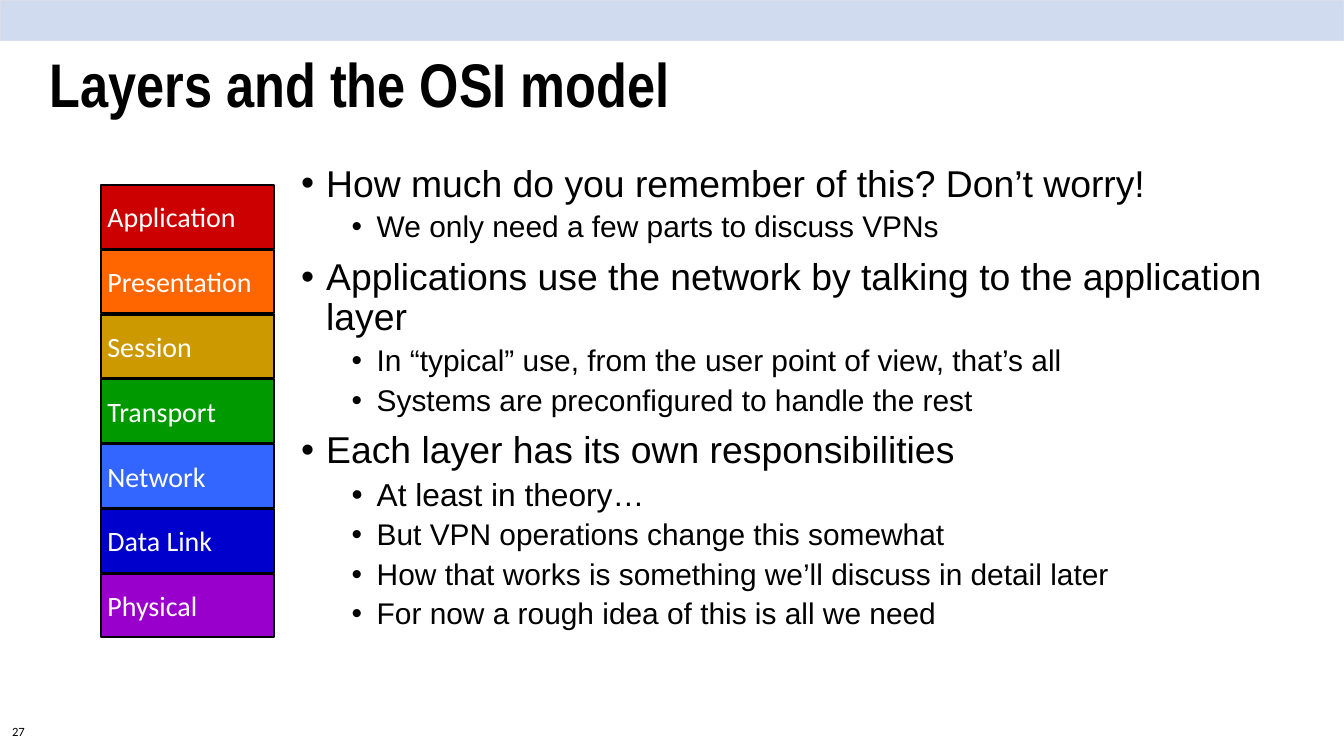
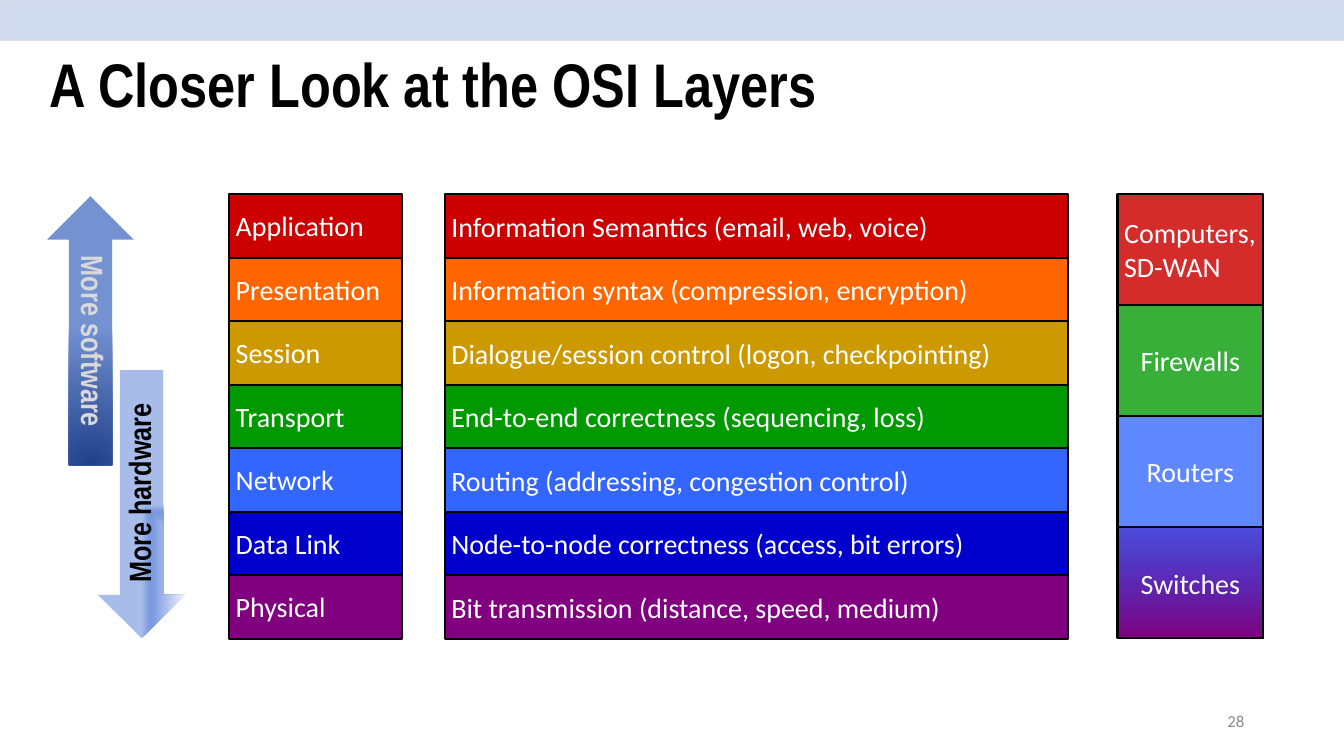
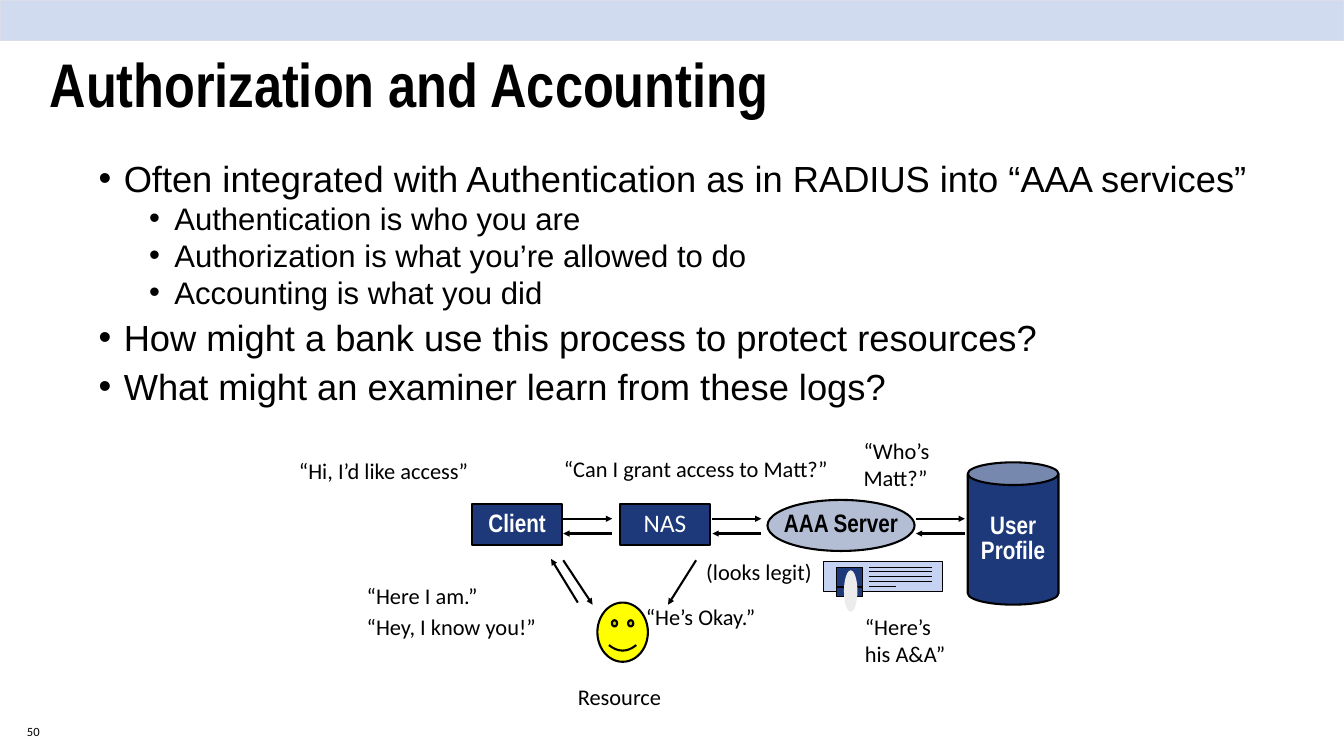
from dataclasses import dataclass, replace
from typing import Any, NamedTuple, Optional

from lxml import etree
from pptx import Presentation
from pptx import util as u
from pptx.dml.color import RGBColor
from pptx.enum import shapes as kinds, text
from pptx.oxml.ns import qn

# Colours
BLACK = RGBColor(0x00, 0x00, 0x00)
WHITE = RGBColor(0xFF, 0xFF, 0xFF)
BAND = RGBColor(0xD1, 0xDB, 0xF0)
BAND_EDGE = RGBColor(0xD9, 0xDE, 0xEA)
GREY = RGBColor(0x8C, 0x8C, 0x8C)
PALE_GREY = RGBColor(0xD9, 0xD9, 0xD9)
RED = RGBColor(0xCC, 0x00, 0x00)
ORANGE = RGBColor(0xFF, 0x66, 0x00)
GOLD = RGBColor(0xCC, 0x99, 0x00)
GREEN = RGBColor(0x00, 0x99, 0x00)
SKY = RGBColor(0x33, 0x66, 0xFF)
BLUE = RGBColor(0x00, 0x00, 0xCC)
VIOLET = RGBColor(0x99, 0x00, 0xCC)
PURPLE = RGBColor(0x80, 0x00, 0x80)
NAVY = RGBColor(0x1D, 0x39, 0x7A)
STEEL = RGBColor(0xB3, 0xBE, 0xD4)
YELLOW = RGBColor(0xFF, 0xFF, 0x00)
CARD = RGBColor(0xC5, 0xD2, 0xF1)
FIGURE = RGBColor(0xEC, 0xEC, 0xEC)
ARROW_DARK = RGBColor(0x20, 0x40, 0x89)
ARROW_MID = RGBColor(0x74, 0x92, 0xD2)
ARROW_WHITE = RGBColor(0xF0, 0xF4, 0xFC)
ARROW_BLUE = RGBColor(0x7C, 0x9A, 0xE0)
ARROW_LIGHT = RGBColor(0xA8, 0xBC, 0xEA)

LEFT, CENTER, RIGHT = text.PP_ALIGN.LEFT, text.PP_ALIGN.CENTER, text.PP_ALIGN.RIGHT
TOP, MIDDLE = text.MSO_ANCHOR.TOP, text.MSO_ANCHOR.MIDDLE
SHAPE = kinds.MSO_SHAPE


class Box(NamedTuple):
    """Left, top, width and height in centimetres."""
    left: float
    top: float
    width: float
    height: float


@dataclass(frozen=True)
class TextStyle:
    size: float
    font: str = "Calibri"
    color: RGBColor = BLACK
    bold: bool = False
    align: Any = LEFT
    anchor: Any = TOP
    spacing: float = 1.0
    inset: tuple[float, float] = (0.25, 0.13)
    wrap: bool = True
    vertical: bool = False


class Stop(NamedTuple):
    position: int
    color: RGBColor
    alpha: int = 100


class Gradient(NamedTuple):
    stops: tuple[Stop, ...]
    geometry: str = ""
    focus: tuple[int, int, int, int] = (0, 0, 0, 0)
    angle: int = 0


class Bullet(NamedTuple):
    words: str
    level: int = 0
    size: Optional[float] = None


class Layer(NamedTuple):
    name: str
    detail: str
    color: RGBColor


class Device(NamedTuple):
    name: str
    fill: Any
    alpha: int = 100
    align: Any = CENTER


class Label(NamedTuple):
    words: str
    box: Box


# Text styles
TITLE = TextStyle(66, "Arial Narrow", bold=True, anchor=MIDDLE, spacing=0.9)
CELL = TextStyle(30, color=WHITE, anchor=MIDDLE)
LABEL = TextStyle(24)
NUMBER = TextStyle(13.5, spacing=0.8, inset=(0.38, 0.18))
CORNER_NUMBER = TextStyle(18, color=GREY, align=RIGHT, anchor=MIDDLE)
NODE = TextStyle(27, "Arial Narrow", WHITE, True, CENTER, MIDDLE, 0.85, (0.38, 0.18), False)
ARROW = replace(NODE, size=33, vertical=True)

# Content
LAYERS = (
    Layer("Application", "Information Semantics (email, web, voice)", RED),
    Layer("Presentation", "Information syntax (compression, encryption)", ORANGE),
    Layer("Session", "Dialogue/session control (logon, checkpointing)", GOLD),
    Layer("Transport", "End-to-end correctness (sequencing, loss)", GREEN),
    Layer("Network", "Routing (addressing, congestion control)", SKY),
    Layer("Data Link", "Node-to-node correctness (access, bit errors)", BLUE),
    Layer("Physical", "Bit transmission (distance, speed, medium)", PURPLE),
)
DEVICES = (
    Device("Computers,\nSD-WAN", RED, 83, LEFT),
    Device("Firewalls", GREEN, 78),
    Device("Routers", SKY, 78),
    Device("Switches", Gradient((Stop(0, BLUE, 70), Stop(100, PURPLE)), angle=90)),
)
OSI_BULLETS = (
    Bullet("How much do you remember of this? Don’t worry!"),
    Bullet("We only need a few parts to discuss VPNs", 1),
    Bullet("Applications use the network by talking to the application layer"),
    Bullet("In “typical” use, from the user point of view, that’s all", 1),
    Bullet("Systems are preconfigured to handle the rest", 1),
    Bullet("Each layer has its own responsibilities"),
    Bullet("At least in theory…", 1, 34),
    Bullet("But VPN operations change this somewhat", 1),
    Bullet("How that works is something we’ll discuss in detail later", 1),
    Bullet("For now a rough idea of this is all we need", 1),
)
AAA_BULLETS = (
    Bullet("Often integrated with Authentication as in RADIUS into “AAA services”"),
    Bullet("Authentication is who you are", 1),
    Bullet("Authorization is what you’re allowed to do", 1),
    Bullet("Accounting is what you did", 1),
    Bullet("How might a bank use this process to protect resources?"),
    Bullet("What might an examiner learn from these logs?"),
)
AAA_LABELS = (
    Label("“Hi, I’d like access”", Box(11.05, 17.15, 12.37, 1.27)),
    Label("“Can I grant access to Matt?”", Box(21.06, 17.09, 12.37, 1.27)),
    Label("“Who’s\nMatt?”", Box(32.39, 16.41, 3.81, 2.31)),
    Label("“He’s Okay.”", Box(24.16, 22.68, 10.64, 1.27)),
    Label("“Here I am.”", Box(13.61, 21.87, 10.64, 1.27)),
    Label("“Hey, I know you!”", Box(13.61, 23.06, 10.64, 1.27)),
    Label("(looks legit)", Box(26.44, 20.98, 6.63, 1.27)),
    Label("“Here’s his A&A”", Box(32.44, 23.06, 3.81, 2.31)),
    Label("Resource", Box(21.59, 25.68, 4.85, 1.27)),
)


# Drawing helpers
def lengths(box: Box) -> list[u.Cm]:
    return [u.Cm(value) for value in box]


def set_frame(shape: Any, style: TextStyle) -> Any:
    frame = shape.text_frame
    frame.word_wrap = style.wrap
    frame.vertical_anchor = style.anchor
    frame.margin_left = frame.margin_right = u.Cm(style.inset[0])
    frame.margin_top = frame.margin_bottom = u.Cm(style.inset[1])
    if style.vertical:
        frame._txBody.bodyPr.set("vert", "vert")
    return frame


def format_paragraph(paragraph: Any, style: TextStyle) -> None:
    paragraph.alignment = style.align
    paragraph.line_spacing = style.spacing
    for run in paragraph.runs:
        run.font.size = u.Pt(style.size)
        run.font.name = style.font
        run.font.bold = style.bold
        run.font.color.rgb = style.color


def write(shape: Any, words: str, style: TextStyle) -> None:
    paragraph = set_frame(shape, style).paragraphs[0]
    paragraph.text = words
    format_paragraph(paragraph, style)


def add_text(shapes: Any, box: Box, words: str, style: TextStyle) -> None:
    write(shapes.add_textbox(*lengths(box)), words, style)


def set_alpha(color_element: Any, percent: int) -> None:
    if percent < 100:
        etree.SubElement(color_element, qn("a:alpha"), val=str(percent * 1000))


def set_gradient(shape: Any, gradient: Gradient) -> None:
    shape.fill.gradient()
    fill = shape._element.spPr.find(qn("a:gradFill"))
    fill.clear()
    fill.set("rotWithShape", "1")
    stop_list = etree.SubElement(fill, qn("a:gsLst"))
    for stop in gradient.stops:
        entry = etree.SubElement(stop_list, qn("a:gs"), pos=str(stop.position * 1000))
        set_alpha(etree.SubElement(entry, qn("a:srgbClr"), val=str(stop.color)), stop.alpha)
    if gradient.geometry:
        outline = etree.SubElement(fill, qn("a:path"), {"path": gradient.geometry})
        edges = {side: str(value * 1000) for side, value in zip("ltrb", gradient.focus)}
        etree.SubElement(outline, qn("a:fillToRect"), edges)
    else:
        etree.SubElement(fill, qn("a:lin"), ang=str(gradient.angle * 60000), scaled="0")


def add_shape(shapes: Any, kind: Any, box: Box, fill: Any, line: Optional[RGBColor] = BLACK,
              width: float = 2.25, alpha: int = 100) -> Any:
    shape = shapes.add_shape(kind, *lengths(box))
    shape.shadow.inherit = False
    if isinstance(fill, Gradient):
        set_gradient(shape, fill)
    else:
        shape.fill.solid()
        shape.fill.fore_color.rgb = fill
        set_alpha(shape._element.spPr.find(qn("a:solidFill"))[0], alpha)
    if line is None:
        shape.line.fill.background()
    else:
        shape.line.color.rgb = line
        shape.line.width = u.Pt(width)
    return shape


def add_line(shapes: Any, start: tuple[float, float], end: tuple[float, float],
             width: float = 2.25, arrow: bool = False) -> None:
    points = [u.Cm(value) for value in (*start, *end)]
    connector = shapes.add_connector(kinds.MSO_CONNECTOR.STRAIGHT, *points)
    connector.line.color.rgb = BLACK
    connector.line.width = u.Pt(width)
    properties = connector._element.spPr
    if arrow:
        etree.SubElement(properties.find(qn("a:ln")), qn("a:tailEnd"), type="triangle")
    etree.SubElement(properties, qn("a:effectLst"))


def add_bullets(shapes: Any, box: Box, bullets: tuple[Bullet, ...],
                sizes: tuple[float, float], spacing: float) -> None:
    base = TextStyle(sizes[0], "Arial", spacing=spacing)
    frame = set_frame(shapes.add_textbox(*lengths(box)), base)
    for index, bullet in enumerate(bullets):
        paragraph = frame.add_paragraph() if index else frame.paragraphs[0]
        paragraph.text = bullet.words
        paragraph.level = bullet.level
        if index:
            paragraph.space_before = u.Pt((15, 7.5)[bullet.level])
        format_paragraph(paragraph, replace(base, size=bullet.size or sizes[bullet.level]))
        properties = paragraph._p.get_or_add_pPr()
        properties.set("marL", str(u.Cm((0.95, 2.86)[bullet.level])))
        properties.set("indent", str(u.Cm(-0.95)))
        etree.SubElement(properties, qn("a:buFont"), typeface="Arial")
        etree.SubElement(properties, qn("a:buChar"), char="•")


def add_stack(shapes: Any, first: Box, pitch: float, cells: list[Device]) -> None:
    """Draw a column of cells, the lowest one first."""
    for index, cell in reversed(list(enumerate(cells))):
        box = first._replace(top=first.top + index * pitch)
        shape = add_shape(shapes, SHAPE.RECTANGLE, box, cell.fill, alpha=cell.alpha)
        write(shape, cell.name, replace(CELL, align=cell.align))


def start_slide(presentation: Any, title: str) -> Any:
    shapes = presentation.slides.add_slide(presentation.slide_layouts[6]).shapes
    add_shape(shapes, SHAPE.RECTANGLE, Box(0, 0, 50.8, 1.52), BAND, BAND_EDGE, 1)
    add_text(shapes, Box(1.63, 0.56, 43.82, 5.51), title, TITLE)
    return shapes


# Slides
def build_osi_model(presentation: Any) -> None:
    shapes = start_slide(presentation, "Layers and the OSI model")
    add_bullets(shapes, Box(11.13, 6.1, 37.39, 19.35), OSI_BULLETS, (40, 32), 0.9)
    names = [Device(layer.name, VIOLET if layer.color == PURPLE else layer.color, align=LEFT)
             for layer in LAYERS]
    add_stack(shapes, Box(3.81, 6.99, 6.55, 2.41), 2.45, names)
    add_text(shapes, Box(0.08, 27.31, 4.17, 1.68), "27", NUMBER)


def build_closer_look(presentation: Any) -> None:
    shapes = start_slide(presentation, "A Closer Look at the OSI Layers")
    add_text(shapes, Box(35.86, 26.49, 11.43, 1.52), "28", CORNER_NUMBER)

    # Layer names, their duties and the devices that work there
    names = [Device(layer.name, layer.color, align=LEFT) for layer in LAYERS]
    details = [Device(layer.detail, layer.color, align=LEFT) for layer in LAYERS]
    add_stack(shapes, Box(8.66, 7.32, 6.55, 2.43), 2.4, names)
    add_stack(shapes, Box(16.81, 7.34, 23.55, 2.41), 2.4, details)
    add_stack(shapes, Box(42.24, 7.34, 5.51, 4.19), 4.2, list(DEVICES))

    # Software and hardware arrows
    rising = Gradient((Stop(0, ARROW_DARK), Stop(100, ARROW_MID)), "circle", (50, 130, 50, -30))
    falling = Gradient((Stop(0, ARROW_WHITE), Stop(74, ARROW_BLUE), Stop(83, ARROW_BLUE),
                        Stop(100, ARROW_LIGHT)), "rect", (100, 100, 0, 0))
    software = add_shape(shapes, SHAPE.UP_ARROW, Box(1.78, 7.42, 3.28, 10.16), rising, None)
    write(software, "More software", replace(ARROW, color=PALE_GREY))
    hardware = add_shape(shapes, SHAPE.UP_ARROW, Box(3.71, 13.97, 3.28, 10.16), falling, None)
    hardware.rotation = 180
    write(hardware, "More hardware", replace(ARROW, color=BLACK))


def add_id_card(shapes: Any) -> None:
    card = shapes.add_group_shape().shapes
    add_shape(card, SHAPE.RECTANGLE, Box(31.12, 21.23, 4.5, 1.12), CARD, width=1)
    add_shape(card, SHAPE.RECTANGLE, Box(31.62, 21.44, 0.99, 1.12), NAVY, width=1)
    add_line(card, (31.62, 22.2), (32.61, 22.2))
    for row, right in enumerate((35.23, 35.23, 35.23, 35.23, 33.86)):
        height = 21.44 + row * 0.18
        add_line(card, (right, height), (32.84, height), 1)
    add_shape(card, SHAPE.OVAL, Box(31.9, 21.56, 0.51, 1.57), FIGURE, None)


def build_authorization(presentation: Any) -> None:
    shapes = start_slide(presentation, "Authorization and Accounting")
    add_bullets(shapes, Box(3.48, 6.1, 45.69, 10.19), AAA_BULLETS, (38.9, 33.3), 0.8)

    # Parties
    parties = (
        ("Client", SHAPE.RECTANGLE, Box(17.83, 19.05, 3.43, 1.57), NAVY, NODE),
        ("NAS", SHAPE.RECTANGLE, Box(23.42, 19.05, 3.43, 1.57), NAVY,
         replace(NODE, font="Calibri", bold=False)),
        ("AAA Server", SHAPE.OVAL, Box(29.01, 18.9, 5.56, 1.93), STEEL,
         replace(NODE, color=BLACK, anchor=TOP)),
        ("User\nProfile", SHAPE.CAN, Box(36.58, 17.48, 3.43, 5.38), NAVY, NODE),
    )
    for name, kind, box, fill, style in parties:
        write(add_shape(shapes, kind, box, fill), name, style)
    add_shape(shapes, SHAPE.SMILEY_FACE, Box(22.58, 22.78, 1.91, 2.24), YELLOW)

    # Requests run right, answers run left
    for left in (21.29, 26.93, 34.62):
        right = left + 1.85
        add_line(shapes, (left, 19.61), (right, 19.61), arrow=True)
        add_line(shapes, (right, 20.17), (left, 20.17), arrow=True)
    for start, end in (((26.31, 21.18), (25.25, 22.86)),
                       ((21.29, 21.18), (22.4, 22.86)),
                       ((21.84, 22.78), (20.83, 21.13))):
        add_line(shapes, start, end, arrow=True)

    add_id_card(shapes)
    for label in AAA_LABELS:
        add_text(shapes, label.box, label.words, LABEL)
    add_text(shapes, Box(0.64, 27.31, 4.17, 1.68), "50", NUMBER)


def main() -> None:
    presentation = Presentation()
    presentation.slide_width = u.Cm(50.8)
    presentation.slide_height = u.Cm(28.58)
    build_osi_model(presentation)
    build_closer_look(presentation)
    build_authorization(presentation)
    presentation.save("out.pptx")


if __name__ == "__main__":
    main()
